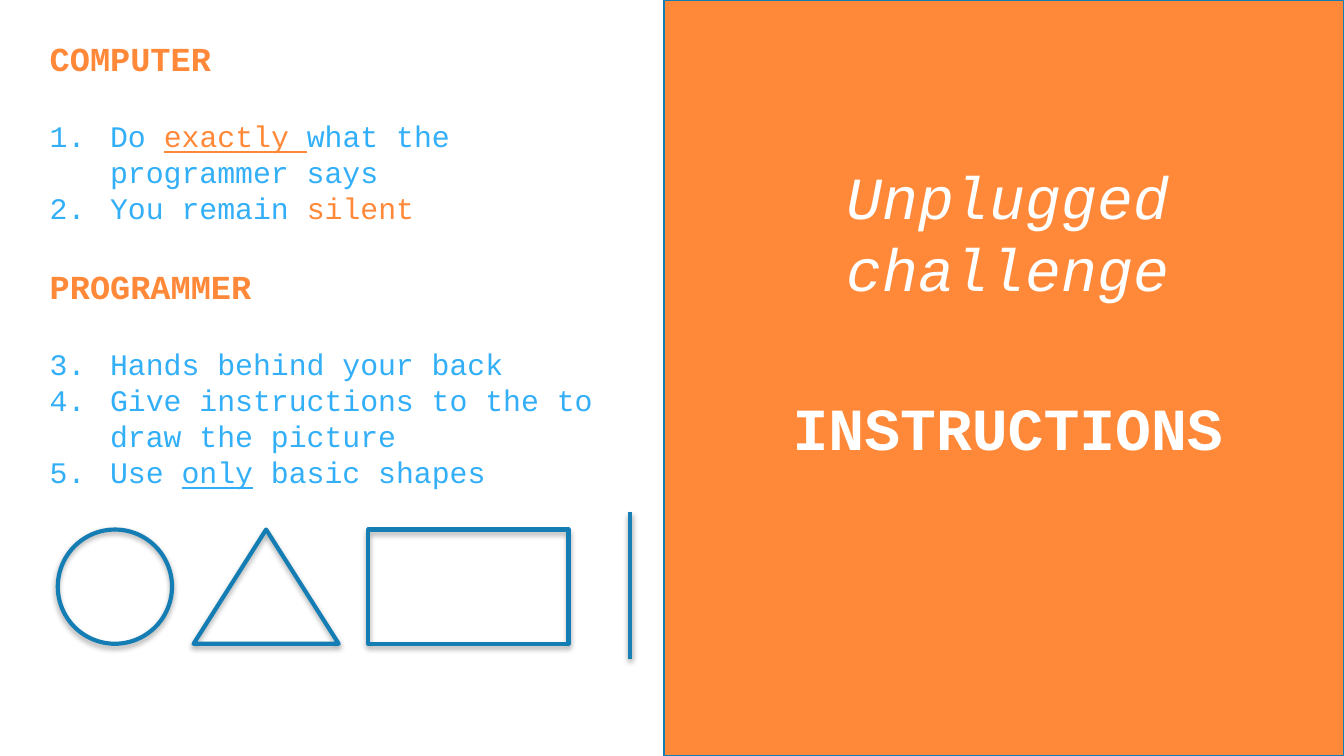
from lxml import etree
from pptx import Presentation
from pptx.dml.color import RGBColor
from pptx.enum.shapes import MSO_CONNECTOR, MSO_SHAPE
from pptx.enum.text import MSO_ANCHOR, PP_ALIGN
from pptx.oxml import parse_xml
from pptx.oxml.ns import nsdecls, qn
from pptx.util import Inches, Pt

ORANGE = RGBColor(0xFF, 0x89, 0x39)
SKY = RGBColor(0x33, 0xAF, 0xF7)
BLUE = RGBColor(0x14, 0x7E, 0xB4)
LINE_BLUE = RGBColor(0x19, 0x80, 0xB6)
WHITE = RGBColor(0xFF, 0xFF, 0xFF)
FONT = "Courier New"
SECTION_GAP = 21.5

# Each run is (text, colour, underlined)
COMPUTER_RULES = [
    [("Do ", SKY, False), ("exactly ", ORANGE, True),
     ("what the programmer says", SKY, False)],
    [("You remain ", SKY, False), ("silent", ORANGE, False)],
]
PROGRAMMER_RULES = [
    [("Hands behind your back", SKY, False)],
    [("Give instructions to the to draw the picture", SKY, False)],
    [("Use ", SKY, False), ("only", SKY, True), (" basic shapes", SKY, False)],
]


def add_text_box(page, left, top, width, height):
    box = page.shapes.add_textbox(Inches(left), Inches(top), Inches(width), Inches(height))
    frame = box.text_frame
    frame.word_wrap = True
    frame.vertical_anchor = MSO_ANCHOR.TOP
    frame.margin_left = frame.margin_right = Inches(0.09)
    frame.margin_top = frame.margin_bottom = Inches(0.05)
    return frame


def add_paragraph(frame, gap=0):
    para = frame.paragraphs[0]
    if para.runs:
        para = frame.add_paragraph()
        para.space_before = Pt(gap)
    return para


def add_run(para, text, size, color, bold=False, italic=False, underline=False):
    span = para.add_run()
    span.text = text
    font = span.font
    font.name, font.size, font.color.rgb = FONT, Pt(size), color
    font.bold, font.italic, font.underline = bold, italic, underline


def number_paragraph(para, start):
    props = para._p.get_or_add_pPr()
    props.set("marL", str(Inches(0.45)))
    props.set("indent", str(-Inches(0.45)))
    color = etree.SubElement(props, qn("a:buClr"))
    etree.SubElement(color, qn("a:srgbClr"), val=str(SKY))
    etree.SubElement(props, qn("a:buFont"), typeface=FONT)
    etree.SubElement(props, qn("a:buAutoNum"), type="arabicPeriod", startAt=str(start))


def add_role(frame, title, rules, start):
    add_run(add_paragraph(frame, SECTION_GAP), title, 18, ORANGE, bold=True)
    for index, runs in enumerate(rules):
        para = add_paragraph(frame, 0 if index else SECTION_GAP)
        number_paragraph(para, start)
        for text, color, underline in runs:
            add_run(para, text, 16, color, underline=underline)


def add_shadow(shape, distance, opacity):
    shape._element.spPr.append(parse_xml(
        f'<a:effectLst {nsdecls("a")}><a:outerShdw blurRad="{Pt(3.1)}" dist="{Pt(distance)}" '
        f'dir="5400000" rotWithShape="0"><a:srgbClr val="000000">'
        f'<a:alpha val="{opacity * 1000}"/></a:srgbClr></a:outerShdw></a:effectLst>'))


def add_outline(page, kind, left, width):
    shape = page.shapes.add_shape(kind, Inches(left), Inches(3.94), Inches(width), Inches(0.85))
    shape.fill.background()
    shape.line.color.rgb = BLUE
    shape.line.width = Pt(2.25)
    add_shadow(shape, 1.8, 35)


def add_panel(page, height):
    panel = page.shapes.add_shape(MSO_SHAPE.RECTANGLE, Inches(4.94), 0, Inches(5.06), height)
    panel.shadow.inherit = False
    panel.fill.solid()
    panel.fill.fore_color.rgb = ORANGE
    panel.line.color.rgb = BLUE
    panel.line.width = Pt(0.75)


def add_stroke(page):
    stroke = page.shapes.add_connector(
        MSO_CONNECTOR.STRAIGHT, Inches(4.69), Inches(4.9), Inches(4.69), Inches(3.81))
    stroke.line.color.rgb = LINE_BLUE
    stroke.line.width = Pt(2.25)
    add_shadow(stroke, 1.6, 38)


def main():
    # Widescreen page, 16 to 9
    deck = Presentation()
    deck.slide_width = Inches(10)
    deck.slide_height = deck.slide_width * 9 // 16
    page = deck.slides.add_slide(deck.slide_layouts[6])

    # Title panel
    add_panel(page, deck.slide_height)
    title = add_text_box(page, 5.33, 1.14, 4.34, 2.92)
    for text, bold in (("Unplugged challenge", False), ("INSTRUCTIONS", True)):
        para = add_paragraph(title, 47)
        para.alignment = PP_ALIGN.CENTER
        add_run(para, text, 32, WHITE, bold=bold, italic=not bold)

    # Rules for both roles, numbered straight through
    rules = add_text_box(page, 0.28, 0.23, 4.44, 3.47)
    add_role(rules, "COMPUTER", COMPUTER_RULES, 1)
    add_role(rules, "PROGRAMMER", PROGRAMMER_RULES, 1 + len(COMPUTER_RULES))

    # Basic shapes
    for kind, left, width in ((MSO_SHAPE.OVAL, 0.43, 0.85),
                              (MSO_SHAPE.ISOSCELES_TRIANGLE, 1.44, 1.08),
                              (MSO_SHAPE.RECTANGLE, 2.74, 1.49)):
        add_outline(page, kind, left, width)
    add_stroke(page)

    deck.save("out.pptx")


if __name__ == "__main__":
    main()
